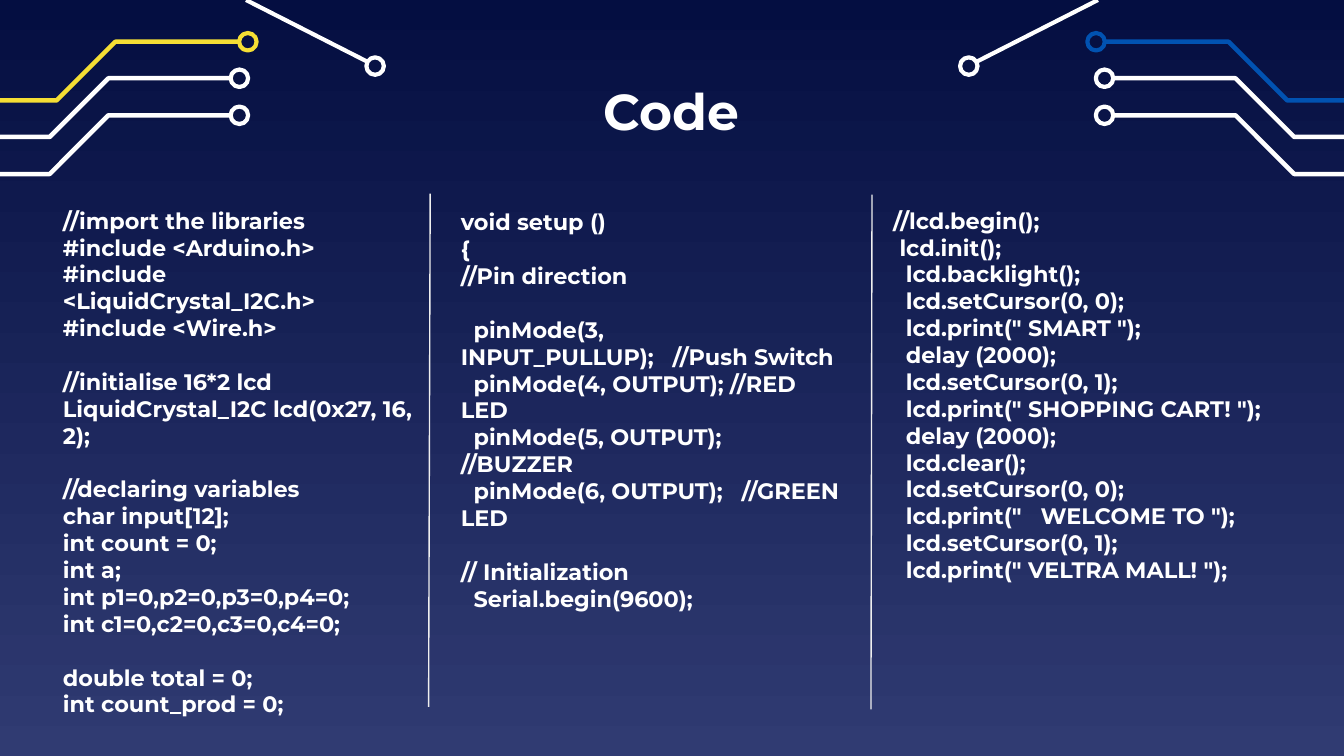
from dataclasses import dataclass

from lxml.etree import SubElement
from pptx import Presentation
from pptx.dml.color import RGBColor
from pptx.enum.shapes import MSO_CONNECTOR, MSO_SHAPE
from pptx.enum.text import MSO_ANCHOR, MSO_AUTO_SIZE, PP_ALIGN
from pptx.oxml.ns import qn
from pptx.util import Cm, Pt


@dataclass(frozen=True)
class Theme:
    font: str = "Montserrat"
    text: RGBColor = RGBColor(0xFF, 0xFF, 0xFF)
    white: RGBColor = RGBColor(0xFF, 0xFF, 0xFF)
    yellow: RGBColor = RGBColor(0xF5, 0xDE, 0x34)
    blue: RGBColor = RGBColor(0x01, 0x52, 0xB1)
    divider: RGBColor = RGBColor(0xEF, 0xEF, 0xEF)
    sky_top: RGBColor = RGBColor(0x04, 0x0E, 0x41)
    sky_bottom: RGBColor = RGBColor(0x30, 0x3B, 0x72)
    title_size: Pt = Pt(27)
    code_size: Pt = Pt(12)
    code_gap: Pt = Pt(14.4)
    trace_width: Pt = Pt(2.4)
    ring_width: Pt = Pt(2.25)
    divider_width: Pt = Pt(0.75)


THEME = Theme()
SLIDE_WIDTH, SLIDE_HEIGHT = 25.4, 14.29
RING_RADIUS = 0.165
TRACE_RISE = 1.11
SPACE_WIDTH = 0.12

DECLARATIONS = """\
//import the libraries
#include <Arduino.h>
#include <LiquidCrystal_I2C.h>
#include <Wire.h>

//initialise 16*2 lcd
LiquidCrystal_I2C lcd(0x27, 16, 2);

//declaring variables
char input[12];
int count = 0;
int a;
int p1=0,p2=0,p3=0,p4=0;
int c1=0,c2=0,c3=0,c4=0;

double total = 0;
int count_prod = 0;"""

SETUP = """\
void setup ()
{
//Pin direction

  pinMode(3, INPUT_PULLUP);   //Push Switch
  pinMode(4, OUTPUT); //RED LED
  pinMode(5, OUTPUT);   //BUZZER
  pinMode(6, OUTPUT);   //GREEN LED

// Initialization
  Serial.begin(9600);"""

GREETING = """\
//lcd.begin();
 lcd.init();
  lcd.backlight();
  lcd.setCursor(0, 0);
  lcd.print(" SMART ");
  delay (2000);
  lcd.setCursor(0, 1);
  lcd.print(" SHOPPING CART! ");
  delay (2000);
  lcd.clear();
  lcd.setCursor(0, 0);
  lcd.print("   WELCOME TO ");
  lcd.setCursor(0, 1);
  lcd.print(" VELTRA MALL! ");"""


def apply_format(target, values):
    for name, value in values.items():
        setattr(target, name, value)


def place(part, left, top, width, height):
    apply_format(part, {"left": Cm(left), "top": Cm(top),
                        "width": Cm(width), "height": Cm(height)})


def format_font(font, size):
    apply_format(font, {"name": THEME.font, "size": size, "bold": True})
    font.color.rgb = THEME.text


def format_frame(frame, anchor, auto_size):
    apply_format(frame, {
        "word_wrap": True, "vertical_anchor": anchor, "auto_size": auto_size,
        "margin_left": Cm(0.25), "margin_right": Cm(0.25),
        "margin_top": Cm(0.25), "margin_bottom": Cm(0.25)})


def format_line(line, color, width):
    line.color.rgb = color
    line.width = width


def paint_background(slide):
    fill = slide.background.fill
    fill.gradient()
    fill.gradient_angle = 270
    ends = ((0, THEME.sky_top), (1, THEME.sky_bottom))
    for stop, (position, color) in zip(fill.gradient_stops, ends):
        stop.position = position
        stop.color.rgb = color


def add_straight(slide, start, end, color, width):
    straight = slide.shapes.add_connector(
        MSO_CONNECTOR.STRAIGHT, *map(Cm, start + end))
    format_line(straight.line, color, width)
    SubElement(straight._element.spPr, qn("a:effectLst"))


def add_ring(slide, center_x, center_y, color):
    ring = slide.shapes.add_shape(
        MSO_SHAPE.OVAL, Cm(center_x - RING_RADIUS), Cm(center_y - RING_RADIUS),
        Cm(2 * RING_RADIUS), Cm(2 * RING_RADIUS))
    ring.fill.background()
    ring.shadow.inherit = False
    format_line(ring.line, color, THEME.ring_width)


def add_trace(slide, points, color):
    start, *bends = [(Cm(x), Cm(y)) for x, y in points]
    builder = slide.shapes.build_freeform(*start)
    builder.add_line_segments(bends, close=False)
    trace = builder.convert_to_shape()
    trace.fill.background()
    trace.shadow.inherit = False
    format_line(trace.line, color, THEME.trace_width)


def add_circuit(slide, accent, side_x):
    traces = (
        (1.07, 4.52, 0.79, accent),
        (0.94, 4.36, 1.48, THEME.white),
        (0.94, 4.36, 2.18, THEME.white),
    )
    for bend_x, end_x, top, color in traces:
        low = top + TRACE_RISE
        points = ((0, low), (bend_x, low),
                  (bend_x + TRACE_RISE, top), (end_x, top))
        add_trace(slide, [(side_x(x), y) for x, y in points], color)
        add_ring(slide, side_x(end_x + RING_RADIUS), top, color)
    add_straight(slide, (side_x(4.65), 0), (side_x(6.95), 1.17),
                 THEME.white, THEME.ring_width)
    add_ring(slide, side_x(7.09), 1.25, THEME.white)


def write_title(title, text):
    place(title, 5.72, 1.42, 13.94, 1.32)
    frame = title.text_frame
    format_frame(frame, MSO_ANCHOR.MIDDLE, MSO_AUTO_SIZE.NONE)
    frame.text = text
    heading = frame.paragraphs[0]
    heading.alignment = PP_ALIGN.CENTER
    format_font(heading.runs[0].font, THEME.title_size)


def write_code(column, code, box):
    place(column, *box)
    frame = column.text_frame
    format_frame(frame, MSO_ANCHOR.TOP, MSO_AUTO_SIZE.SHAPE_TO_FIT_TEXT)
    statements = [(block_start and block > 0, statement)
                  for block, lines in enumerate(code.split("\n\n"))
                  for block_start, statement in
                  ((i == 0, s) for i, s in enumerate(lines.split("\n")))]
    for index, (after_gap, statement) in enumerate(statements):
        row = frame.add_paragraph() if index else frame.paragraphs[0]
        words = statement.lstrip()
        apply_format(row, {
            "alignment": PP_ALIGN.LEFT, "line_spacing": 1.0,
            "space_before": THEME.code_gap if after_gap else Pt(0),
            "space_after": Pt(0)})
        properties = row._p.get_or_add_pPr()
        indent = Cm(SPACE_WIDTH * (len(statement) - len(words)))
        properties.set("marL", "0")
        properties.set("indent", str(indent))
        SubElement(properties, qn("a:buNone"))
        run = row.add_run()
        run.text = words
        format_font(run.font, THEME.code_size)


def main():
    deck = Presentation()
    deck.slide_width, deck.slide_height = Cm(SLIDE_WIDTH), Cm(SLIDE_HEIGHT)
    slide = deck.slides.add_slide(deck.slide_layouts.get_by_name("Comparison"))
    title, declarations, setup, greeting, *unused = slide.placeholders
    for spare in unused:
        spare._element.getparent().remove(spare._element)

    paint_background(slide)
    add_circuit(slide, THEME.yellow, lambda x: x)
    add_circuit(slide, THEME.blue, lambda x: SLIDE_WIDTH - x)
    write_title(title, "Code")
    write_code(declarations, DECLARATIONS, (0.94, 3.66, 7.16, 10.26))
    write_code(setup, SETUP, (8.46, 3.69, 7.82, 8.71))
    write_code(greeting, GREETING, (16.63, 3.66, 8.33, 8.2))
    for start, end in (((8.13, 3.66), (8.1, 13.36)),
                       ((16.48, 3.68), (16.46, 13.41))):
        add_straight(slide, start, end, THEME.divider, THEME.divider_width)
    deck.save("out.pptx")


if __name__ == "__main__":
    main()
